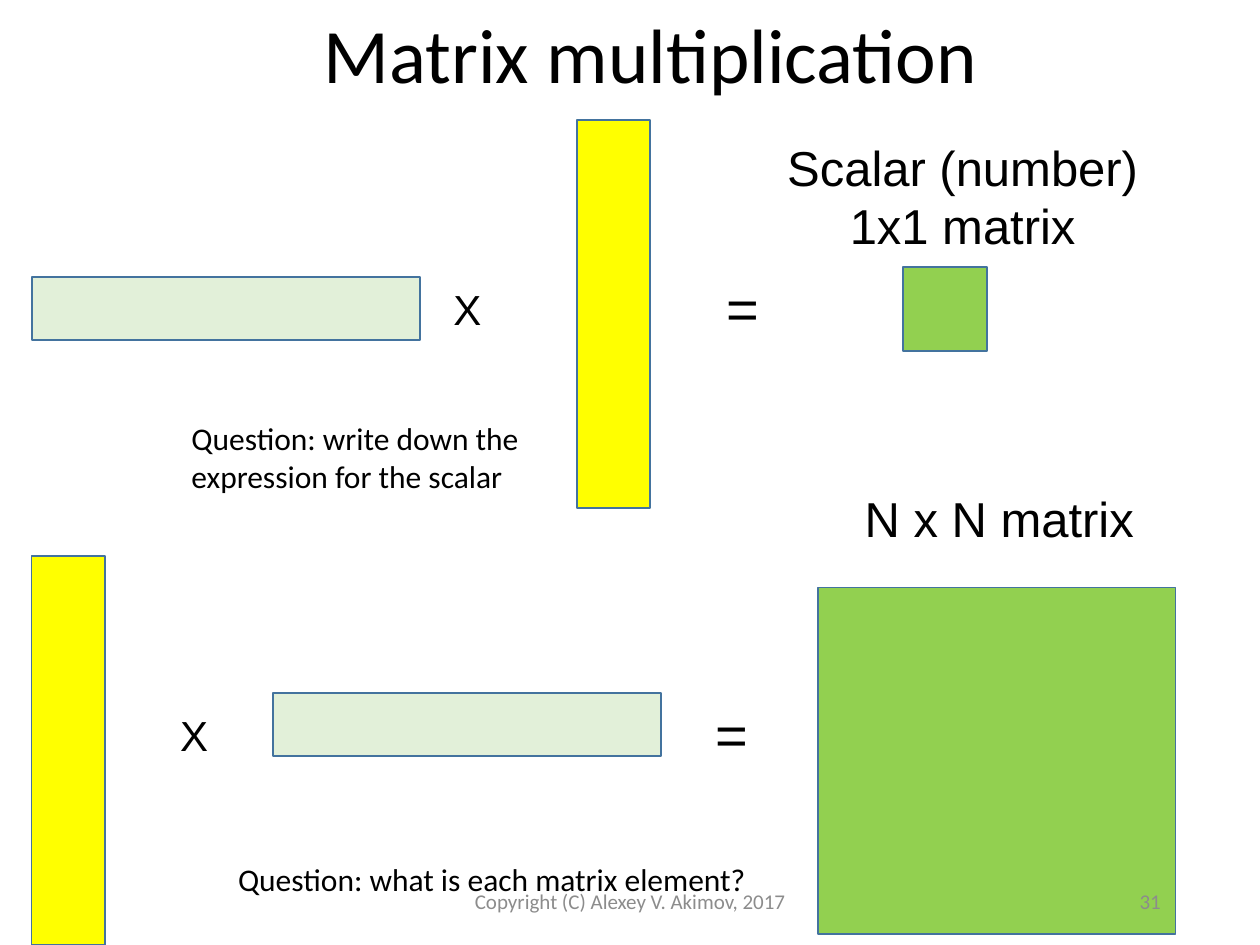
from pptx import Presentation
from pptx.dml.color import RGBColor
from pptx.enum.shapes import MSO_SHAPE
from pptx.enum.text import MSO_ANCHOR, PP_ALIGN
from pptx.util import Cm, Pt

RECT = MSO_SHAPE.RECTANGLE
TOP, MID = MSO_ANCHOR.TOP, MSO_ANCHOR.MIDDLE
LEFT, CENTER, RIGHT = PP_ALIGN.LEFT, PP_ALIGN.CENTER, PP_ALIGN.RIGHT

BLACK = RGBColor(0x00, 0x00, 0x00)
GRAY = RGBColor(0x8C, 0x8C, 0x8C)
EDGE = RGBColor(0x43, 0x73, 0x9E)
PALE = RGBColor(0xE2, 0xF0, 0xD9)
YELLOW = RGBColor(0xFF, 0xFF, 0x00)
GREEN = RGBColor(0x92, 0xD0, 0x50)

# kind: width, height, turn, fill
KINDS = {
    "row": (7.83, 1.27, 0, PALE),
    "column": (7.83, 1.48, 90, YELLOW),
    "scalar": (1.7, 1.7, 90, GREEN),
    "matrix": (6.99, 7.2, 90, GREEN),
}
BOXES = [
    ("row", 0.64, 5.59),
    ("column", 8.45, 5.59),
    ("scalar", 18.2, 5.38),
    ("row", 5.5, 13.97),
    ("column", -2.54, 14.39),
    ("matrix", 16.6, 11.74),
]

# style: font, size, colour, align, anchor, wrap
STYLES = {
    "title": ("Calibri", 44, BLACK, CENTER, TOP, False),
    "times": ("Arial", 24, BLACK, LEFT, TOP, True),
    "equal": ("Arial", 32, BLACK, LEFT, TOP, False),
    "label": ("Arial", 28, BLACK, CENTER, TOP, False),
    "ask": ("Calibri", 18, BLACK, LEFT, TOP, False),
    "foot": ("Calibri", 12, GRAY, CENTER, MID, True),
    "page": ("Calibri", 12, GRAY, RIGHT, MID, True),
}
TEXTS = [
    ("title", 6.2, 0, 13.84, 2.14, ["Matrix multiplication"]),
    ("times", 8.89, 5.59, 1.09, 1.28, ["X"]),
    ("equal", 14.4, 5.38, 1.19, 1.62, ["="]),
    ("label", 15.57, 2.64, 7.67, 2.65, ["Scalar (number)", "1x1 matrix"]),
    ("ask", 3.61, 8.33, 7.19, 1.8,
     ["Question: write down the", "expression for the scalar"]),
    ("times", 3.38, 14.17, 1.09, 1.28, ["X"]),
    ("equal", 14.17, 13.97, 1.19, 1.62, ["="]),
    ("label", 17.15, 9.73, 5.99, 1.45, ["N x N matrix"]),
    ("ask", 4.55, 17.22, 10.87, 1.02,
     ["Question: what is each matrix element?"]),
    ("foot", 8.41, 17.65, 8.59, 1.02,
     ["Copyright (C) Alexey V. Akimov, 2017"]),
    ("page", 17.93, 17.65, 5.72, 1.02, ["31"]),
]


def add_box(slide, kind, x, y):
    w, h, turn, fill = KINDS[kind]
    box = slide.shapes.add_shape(RECT, Cm(x), Cm(y), Cm(w), Cm(h))
    box.rotation = turn
    box.shadow.inherit = False
    box.fill.solid()
    box.fill.fore_color.rgb = fill
    box.line.color.rgb = EDGE
    box.line.width = Pt(1)


def add_text(slide, style, x, y, w, h, lines):
    name, size, color, align, anchor, wrap = STYLES[style]
    box = slide.shapes.add_textbox(Cm(x), Cm(y), Cm(w), Cm(h))
    frame = box.text_frame
    frame.word_wrap = wrap
    frame.vertical_anchor = anchor
    frame.text = "\n".join(lines)
    for para in frame.paragraphs:
        para.alignment = align
        para.font.name = name
        para.font.size = Pt(size)
        para.font.color.rgb = color


def main():
    deck = Presentation()
    deck.slide_width, deck.slide_height = Cm(25.4), Cm(19.05)
    slide = deck.slides.add_slide(deck.slide_layouts[6])
    for box in BOXES:
        add_box(slide, *box)
    for text in TEXTS:
        add_text(slide, *text)
    deck.save("out.pptx")


if __name__ == "__main__":
    main()
